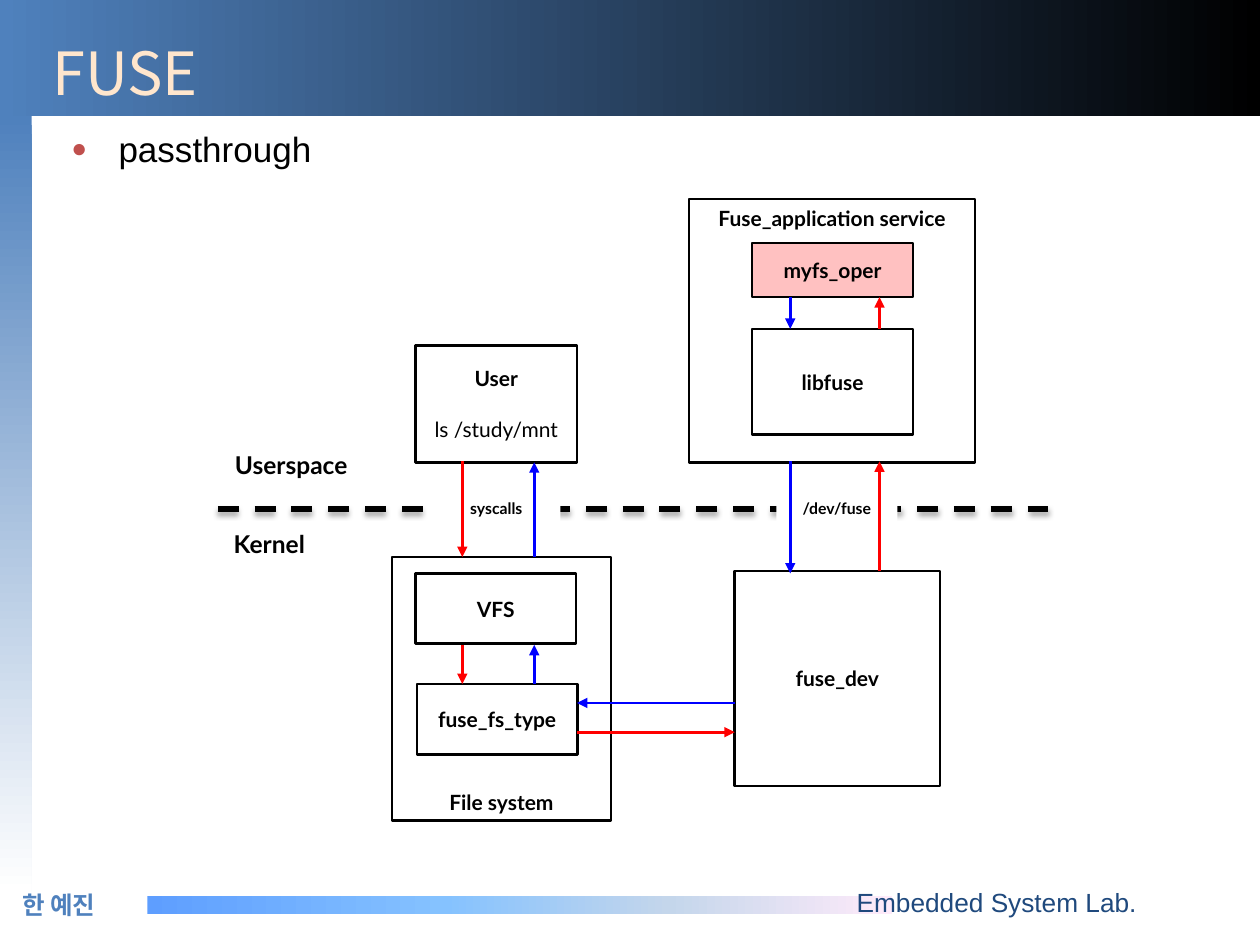
from lxml import etree
from pptx import Presentation
from pptx.dml.color import RGBColor
from pptx.enum.dml import MSO_LINE
from pptx.enum.shapes import MSO_CONNECTOR, MSO_SHAPE
from pptx.enum.text import MSO_ANCHOR, PP_ALIGN
from pptx.oxml.ns import qn
from pptx.util import Cm, Pt

RECT = MSO_SHAPE.RECTANGLE
STRAIGHT = MSO_CONNECTOR.STRAIGHT
DASH = MSO_LINE.DASH
TOP, MIDDLE, BOTTOM = MSO_ANCHOR.TOP, MSO_ANCHOR.MIDDLE, MSO_ANCHOR.BOTTOM
LEFT, CENTER = PP_ALIGN.LEFT, PP_ALIGN.CENTER
LATO, ARIAL, KOREAN = "Lato", "Arial", "Noto Sans CJK KR"
RED, BLUE, BLACK, WHITE = "FF0000", "0000FF", "000000", "FFFFFF"
ACCENT = "4F81BD"


def rgb(value):
    return RGBColor.from_string(value)


def add_xml(parent, tag, **attrs):
    return etree.SubElement(parent, qn(tag), attrs)


def write(sp, text, size, font=LATO, color=BLACK, bold=True, align=CENTER,
          anchor=TOP, wrap=True):
    tf = sp.text_frame
    tf.text = text
    tf.word_wrap = wrap
    tf.vertical_anchor = anchor
    for p in tf.paragraphs:
        p.alignment = align
        for r in p.runs:
            r.font.size = Pt(size)
            r.font.name = font
            r.font.bold = bold
            r.font.color.rgb = rgb(color)
            add_xml(r.font._element, "a:ea", typeface=font)
    return tf


def add_rect(s, box):
    sp = s.shapes.add_shape(RECT, *map(Cm, box))
    sp.shadow.inherit = False
    sp.line.fill.background()
    return sp


def add_gradient(s, box, stops, angle):
    sp = add_rect(s, box)
    sp.fill.gradient()
    sp.fill.gradient_angle = angle
    stop_list = sp._element.spPr.find(".//" + qn("a:gsLst"))
    for stop in list(stop_list):
        stop_list.remove(stop)
    for pos, color in stops:
        stop = add_xml(stop_list, "a:gs", pos=str(pos * 1000))
        add_xml(stop, "a:srgbClr", val=color)


def add_box(s, box, text, fill=None, anchor=MIDDLE):
    sp = add_rect(s, box)
    if fill:
        sp.fill.solid()
        sp.fill.fore_color.rgb = rgb(fill)
    else:
        sp.fill.background()
    sp.line.color.rgb = rgb(BLACK)
    sp.line.width = Pt(1.5)
    return write(sp, text, 12, anchor=anchor, wrap=False)


def add_gap_label(s, box, text):
    sp = add_rect(s, box)
    sp.fill.solid()
    sp.fill.fore_color.rgb = rgb(WHITE)
    write(sp, text, 9)


def add_text(s, box, text, size, **style):
    return write(s.shapes.add_textbox(*map(Cm, box)), text, size, **style)


def add_line(s, ends, color, width):
    line = s.shapes.add_connector(STRAIGHT, *map(Cm, ends))
    line.line.color.rgb = rgb(color)
    line.line.width = Pt(width)
    effects = add_xml(line._element.spPr, "a:effectLst")
    return line, effects


def add_arrow(s, ends, color):
    line, _ = add_line(s, ends, color, 1.5)
    add_xml(line.line._get_or_add_ln(), "a:tailEnd", type="triangle")


def add_border(s):
    line, effects = add_line(s, (4.39, 10.26, 21.13, 10.26), BLACK, 3)
    line.line.dash_style = DASH
    shadow = add_xml(effects, "a:outerShdw", blurRad=str(Pt(3.1)),
                     dist=str(Pt(1.8)), dir="5400000", rotWithShape="0")
    color = add_xml(shadow, "a:srgbClr", val=BLACK)
    add_xml(color, "a:alpha", val="35000")


def add_bullet(p):
    pPr = p._p.get_or_add_pPr()
    pPr.set("marL", str(Cm(0.95)))
    pPr.set("indent", str(Cm(-0.95)))
    add_xml(add_xml(pPr, "a:buClr"), "a:srgbClr", val="C0504D")
    add_xml(pPr, "a:buSzPct", val="75000")
    add_xml(pPr, "a:buFont", typeface=ARIAL)
    add_xml(pPr, "a:buChar", char="●")


def add_frame(s):
    add_gradient(s, (0, 2.34, 0.64, 15.67), [(0, ACCENT), (100, WHITE)], 270)
    add_gradient(s, (0, 0, 25.4, 2.34), [(0, ACCENT), (100, BLACK)], 0)
    add_gradient(s, (2.97, 18.06, 15.01, 0.36),
                 [(0, "5E9EFF"), (40, "85C2FF"), (70, "C4D6EB"), (100, "FFEBFA")], 0)
    add_text(s, (0.2, 17.8, 2.77, 0.86), "한 예진", 14, font=KOREAN,
             color=ACCENT, align=LEFT, anchor=BOTTOM)
    add_text(s, (17.02, 17.75, 6.2, 0.89), "Embedded System Lab.", 15,
             font=ARIAL, color="1F497D", bold=False, align=LEFT)


def add_heading(s):
    tf = add_text(s, (0.81, 0.41, 23.8, 1.9), "FUSE", 34, font=KOREAN,
                  color="FFE6CD", bold=False, align=LEFT, anchor=BOTTOM)
    tf.paragraphs[0].line_spacing = 0.9
    tf = add_text(s, (1.19, 2.44, 23.42, 14.48), "passthrough", 20,
                  font=ARIAL, bold=False, align=LEFT)
    add_bullet(tf.paragraphs[0])


def add_diagram(s):
    tf = add_box(s, (8.38, 6.96, 3.25, 2.36), "User\nls /study/mnt")
    command = tf.paragraphs[1]
    command.space_before = Pt(14.4)
    command.runs[0].font.bold = False

    add_border(s)
    add_text(s, (4.17, 8.94, 3.4, 0.86), "Userspace", 14)
    add_text(s, (3.84, 10.54, 3.18, 0.86), "Kernel", 14)
    add_gap_label(s, (8.71, 9.93, 2.59, 0.64), "syscalls")
    add_gap_label(s, (15.65, 9.93, 2.44, 0.64), "/dev/fuse")

    add_box(s, (8.38, 11.56, 3.23, 1.42), "VFS", WHITE)
    add_box(s, (8.41, 13.79, 3.23, 1.42), "fuse_fs_type", WHITE)
    add_box(s, (14.81, 11.51, 4.14, 4.34), "fuse_dev")
    add_box(s, (7.9, 11.23, 4.42, 5.31), "File system", anchor=BOTTOM)
    add_box(s, (15.16, 6.63, 3.25, 2.13), "libfuse")
    add_box(s, (15.16, 4.9, 3.25, 1.09), "myfs_oper", "FFC1C1")
    add_box(s, (13.89, 4.01, 5.77, 5.31), "Fuse_application service", anchor=TOP)

    vertical = [
        (9.32, RED, [(9.3, 11.23), (13, 13.79)]),
        (17.73, RED, [(11.51, 9.3), (6.63, 5.99)]),
        (15.93, BLUE, [(5.99, 6.63), (9.3, 11.56)]),
        (10.77, BLUE, [(13.79, 13), (11.23, 9.32)]),
    ]
    for x, color, spans in vertical:
        for start, end in spans:
            add_arrow(s, (x, start, x, end), color)
    add_arrow(s, (11.63, 14.76, 14.81, 14.76), RED)
    add_arrow(s, (14.81, 14.17, 11.63, 14.17), BLUE)


def main():
    prs = Presentation()
    prs.slide_width, prs.slide_height = Cm(25.4), Cm(19.05)
    s = prs.slides.add_slide(prs.slide_layouts[6])
    add_frame(s)
    add_heading(s)
    add_diagram(s)
    prs.save("out.pptx")


main()
